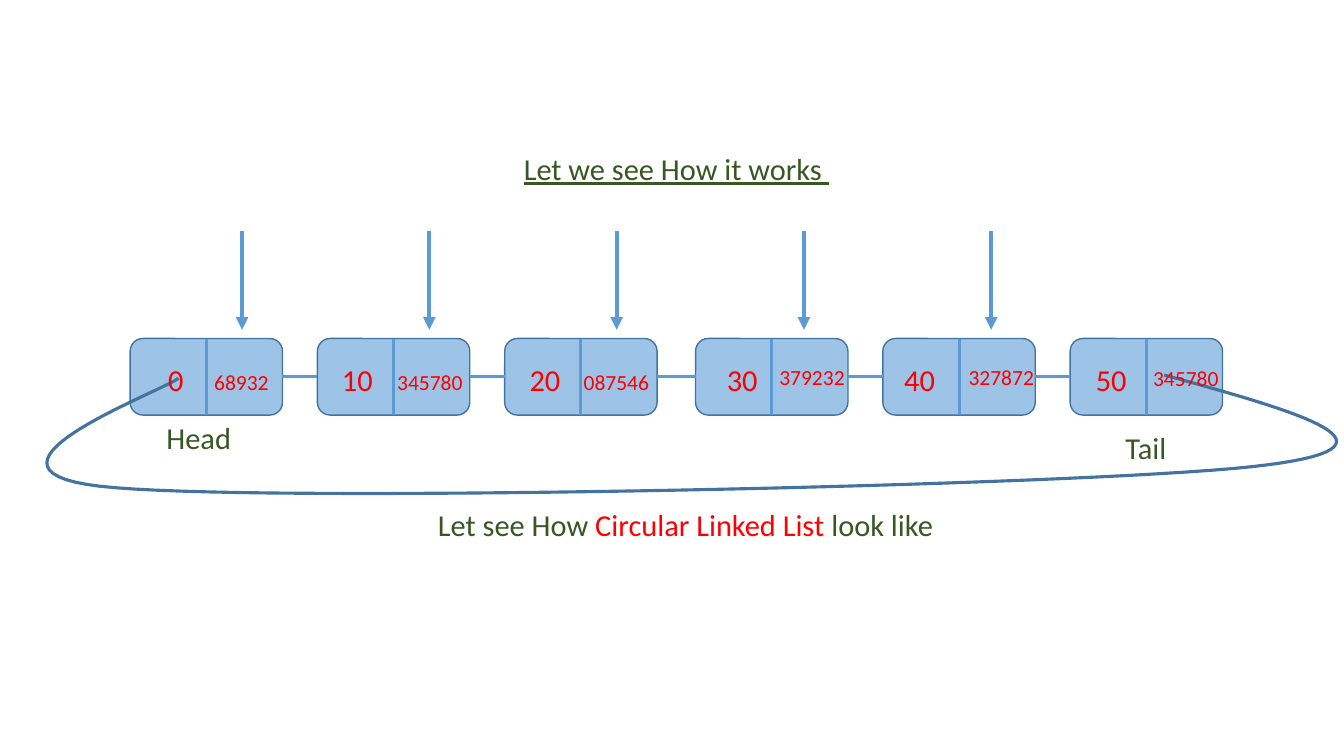
from lxml import etree
from pptx import Presentation
from pptx import util as u
from pptx.dml.color import RGBColor
from pptx.enum import shapes, text
from pptx.oxml import ns

NODE_FILL = RGBColor(0x9D, 0xC3, 0xE6)
OUTLINE = RGBColor(0x43, 0x73, 0x9E)
LINK = RGBColor(0x5B, 0x9B, 0xD5)
GREEN = RGBColor(0x38, 0x57, 0x23)
RED = RGBColor(0xFF, 0x00, 0x00)

LARGE, SMALL = 21.7, 15.4
NODE_TOP, NODE_WIDTH, NODE_HEIGHT = 8.53, 3.84, 1.93
NODE_MIDDLE = NODE_TOP + NODE_HEIGHT / 2
PITCH = 4.72
ARROW_COUNT, ARROW_LEFT, ARROW_TOP, ARROW_TIP = 5, 6.1, 5.82, 8.31
VALUE_TOP, LABEL_WIDTH = 9.22, 2.67

# node left, value, value left, address, address left, address top
NODES = [
    (3.28, "0", 3.1, "68932", 4.75, 9.35),
    (8.0, "10", 7.67, "345780", 9.5, 9.35),
    (12.72, "20", 12.4, "087546", 14.2, 9.35),
    (17.53, "30", 17.37, "379232", 19.13, 9.22),
    (22.25, "40", 21.84, "327872", 23.9, 9.22),
    (26.97, "50", 26.67, "345780", 28.55, 9.25),
]

LOOP_START = (29.34, 9.45)
LOOP_CURVES = [
    ((32.66, 10.36), (35.97, 11.28), (31.55, 11.76)),
    ((27.15, 12.24), (7.42, 12.67), (2.9, 12.29)),
    ((-1.6, 11.94), (4.11, 9.86), (4.5, 9.53)),
]
CURVE_STEPS = 32


def add_line(page, start, end, width, arrow=False):
    line = page.shapes.add_connector(
        shapes.MSO_CONNECTOR.STRAIGHT, *(u.Cm(value) for value in start + end))
    line.line.color.rgb = LINK
    line.line.width = u.Pt(width)
    if arrow:
        etree.SubElement(line.line._get_or_add_ln(), ns.qn("a:tailEnd"), type="triangle")
    etree.SubElement(line._element.spPr, ns.qn("a:effectLst"))


def add_node(page, left):
    node = page.shapes.add_shape(
        shapes.MSO_SHAPE.ROUNDED_RECTANGLE,
        u.Cm(left), u.Cm(NODE_TOP), u.Cm(NODE_WIDTH), u.Cm(NODE_HEIGHT))
    node.shadow.inherit = False
    node.fill.solid()
    node.fill.fore_color.rgb = NODE_FILL
    node.line.color.rgb = OUTLINE
    node.line.width = u.Pt(1)
    divider = left + NODE_WIDTH / 2
    add_line(page, (divider, NODE_TOP), (divider, NODE_TOP + NODE_HEIGHT), 2.25)


def add_text(page, left, top, width, spans, size=LARGE, underline=None):
    height = 0.97 if size == LARGE else 0.71
    box = page.shapes.add_textbox(u.Cm(left), u.Cm(top), u.Cm(width), u.Cm(height))
    box.text_frame.word_wrap = True
    para = box.text_frame.paragraphs[0]
    para.alignment = text.PP_ALIGN.CENTER
    para.line_spacing = 0.7
    para.space_before = u.Pt(10)
    para.font.name = "Calibri"
    para.font.size = u.Pt(size)
    para.font.underline = underline
    for words, color in spans:
        span = para.add_run()
        span.text = words
        span.font.color.rgb = color


def bezier_point(points, t):
    weights = ((1 - t) ** 3, 3 * t * (1 - t) ** 2, 3 * t ** 2 * (1 - t), t ** 3)
    return tuple(
        u.Cm(sum(weight * point[axis] for weight, point in zip(weights, points)))
        for axis in (0, 1))


def add_loop(page):
    outline = []
    start = LOOP_START
    for curve in LOOP_CURVES:
        points = (start,) + curve
        outline += [bezier_point(points, step / CURVE_STEPS)
                    for step in range(1, CURVE_STEPS + 1)]
        start = curve[-1]
    builder = page.shapes.build_freeform(*(u.Cm(value) for value in LOOP_START))
    builder.add_line_segments(outline, close=False)
    loop = builder.convert_to_shape()
    loop.shadow.inherit = False
    loop.fill.background()
    loop.line.color.rgb = OUTLINE
    loop.line.width = u.Pt(2.25)


def main():
    deck = Presentation()
    deck.slide_width, deck.slide_height = u.Cm(33.87), u.Cm(19.05)
    page = deck.slides.add_slide(deck.slide_layouts[6])

    lefts = [node[0] for node in NODES]
    for left in lefts:
        add_node(page, left)
    for left, following in zip(lefts, lefts[1:]):
        add_line(page, (left + NODE_WIDTH, NODE_MIDDLE), (following, NODE_MIDDLE), 2.25)
    for index in range(ARROW_COUNT):
        x = ARROW_LEFT + index * PITCH
        add_line(page, (x, ARROW_TOP), (x, ARROW_TIP), 3, arrow=True)
    add_loop(page)

    for _, value, value_left, address, address_left, address_top in NODES:
        add_text(page, value_left, VALUE_TOP, LABEL_WIDTH, [(value, RED)])
        add_text(page, address_left, address_top, LABEL_WIDTH, [(address, RED)], SMALL)
    add_text(page, 3.1, 10.69, 3.99, [("Head ", GREEN)])
    add_text(page, 26.97, 10.95, 3.99, [("Tail ", GREEN)])
    add_text(page, 11.33, 3.91, 11.43, [("Let we see How it works ", GREEN)], underline=True)
    add_text(page, 10.39, 12.88, 13.77, [
        ("Let see How ", GREEN), ("Circular Linked List", RED), (" look like", GREEN)])

    deck.save("out.pptx")


main()
